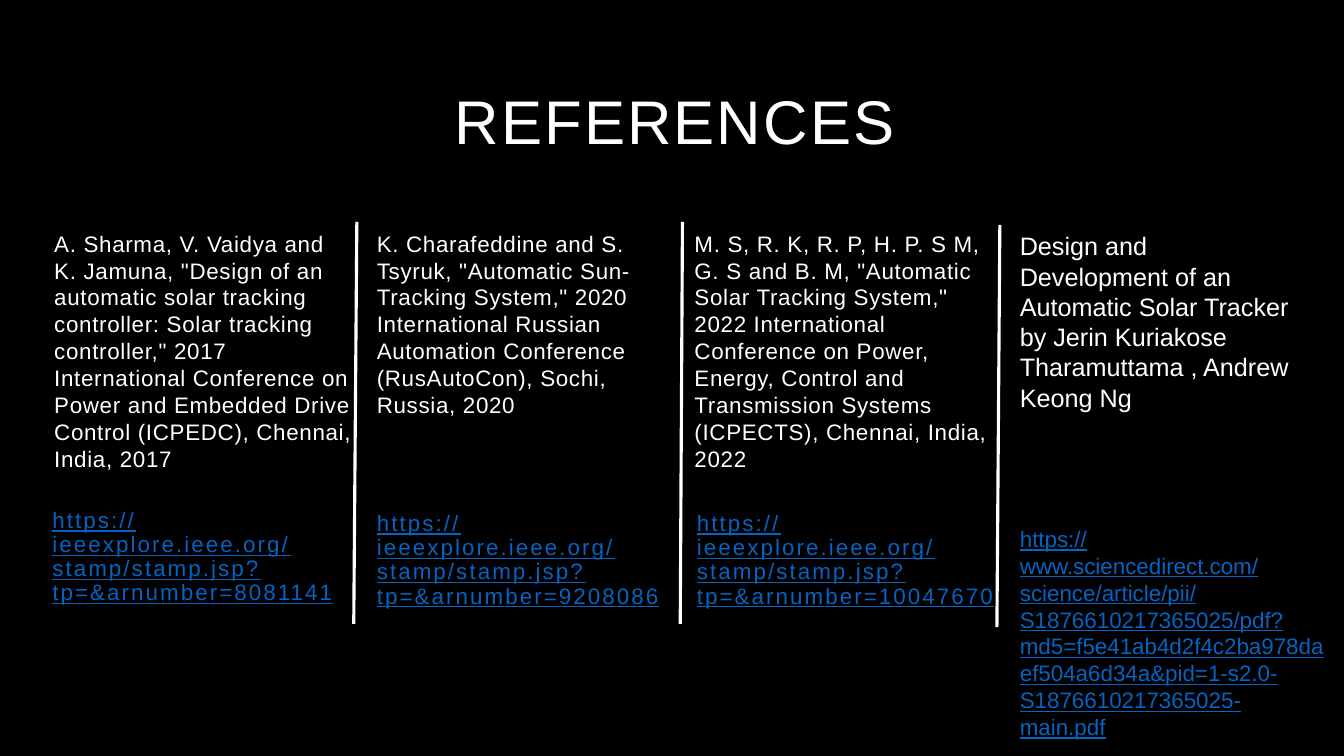
from lxml import etree
from pptx import Presentation
from pptx.dml.color import RGBColor
from pptx.enum.shapes import MSO_CONNECTOR
from pptx.enum.text import MSO_ANCHOR, PP_ALIGN
from pptx.oxml.ns import qn
from pptx.util import Pt

LINE = MSO_CONNECTOR.STRAIGHT
TOP, MIDDLE, BOTTOM = MSO_ANCHOR.TOP, MSO_ANCHOR.MIDDLE, MSO_ANCHOR.BOTTOM
LEFT, CENTER = PP_ALIGN.LEFT, PP_ALIGN.CENTER

THEME = {
    "font": "Arial",
    "back": RGBColor(0x00, 0x00, 0x00),
    "text": RGBColor(0xFF, 0xFF, 0xFF),
    "link": RGBColor(0x05, 0x63, 0xC1),
    "title": 44,
    "large": 18,
    "body": 16,
}

deck = Presentation()
deck.slide_width, deck.slide_height = Pt(960), Pt(540)
slide = deck.slides.add_slide(deck.slide_layouts[6])
slide.background.fill.solid()
slide.background.fill.fore_color.rgb = THEME["back"]


def add_text(text, *, box, size="body", color="text", align=LEFT,
             anchor=TOP, lead=1.0, track=0, under=False):
    frame = slide.shapes.add_textbox(*map(Pt, box)).text_frame
    frame.word_wrap = True
    frame.vertical_anchor = anchor
    para = frame.paragraphs[0]
    para.alignment = align
    para.line_spacing = lead
    run = para.add_run()
    run.text = text
    font = run.font
    font.name = THEME["font"]
    font.size = Pt(THEME[size])
    font.color.rgb = THEME[color]
    font.underline = under
    run._r.get_or_add_rPr().set("spc", str(int(track * 100)))


add_text("REFERENCES", box=(150.5, 36.7, 663, 104.4), size="title",
         align=CENTER, anchor=MIDDLE, lead=0.9, track=1.5)

papers = [
    (31.7, 30.3, 371.5,
     'A. Sharma, V. Vaidya and K. Jamuna, "Design of an automatic solar '
     'tracking controller: Solar tracking controller," 2017 International '
     'Conference on Power and Embedded Drive Control (ICPEDC), Chennai, '
     'India, 2017', "8081141"),
    (262.1, 262.1, 373.7,
     'K. Charafeddine and S. Tsyruk, "Automatic Sun-Tracking System," 2020 '
     'International Russian Automation Conference (RusAutoCon), Sochi, '
     'Russia, 2020', "9208086"),
    (489, 490.7, 373.7,
     'M. S, R. K, R. P, H. P. S M, G. S and B. M, "Automatic Solar Tracking '
     'System," 2022 International Conference on Power, Energy, Control and '
     'Transmission Systems (ICPECTS), Chennai, India, 2022', "10047670"),
]
for left, edge, top, cite, code in papers:
    add_text(cite, box=(left, 160.6, 227.5, 157), track=0.5)
    add_text("https://ieeexplore.ieee.org/stamp/stamp.jsp?tp=&arnumber=" + code,
             box=(edge, top, 227.5, 64.8), color="link", anchor=BOTTOM,
             lead=0.9, track=1.5, under=True)

for head, foot, top in [(254.9, 252.7, 158.4), (487.5, 485.9, 158.4),
                        (714.2, 712.1, 160.6)]:
    rule = slide.shapes.add_connector(
        LINE, Pt(head), Pt(top), Pt(foot), Pt(top + 287.3))
    rule.line.color.rgb = THEME["text"]
    rule.line.width = Pt(2.25)
    etree.SubElement(rule._element.spPr, qn("a:effectLst"))

add_text("Design and Development of an Automatic Solar Tracker by Jerin "
         "Kuriakose Tharamuttama , Andrew Keong Ng",
         box=(721.4, 161.3, 216, 116.6), size="large")
add_text("https://www.sciencedirect.com/science/article/pii/"
         "S1876610217365025/pdf?md5=f5e41ab4d2f4c2ba978daef504a6d34a"
         "&pid=1-s2.0-S1876610217365025-main.pdf",
         box=(721.4, 371.5, 231.8, 123.8), color="link", under=True)

deck.save("out.pptx")
